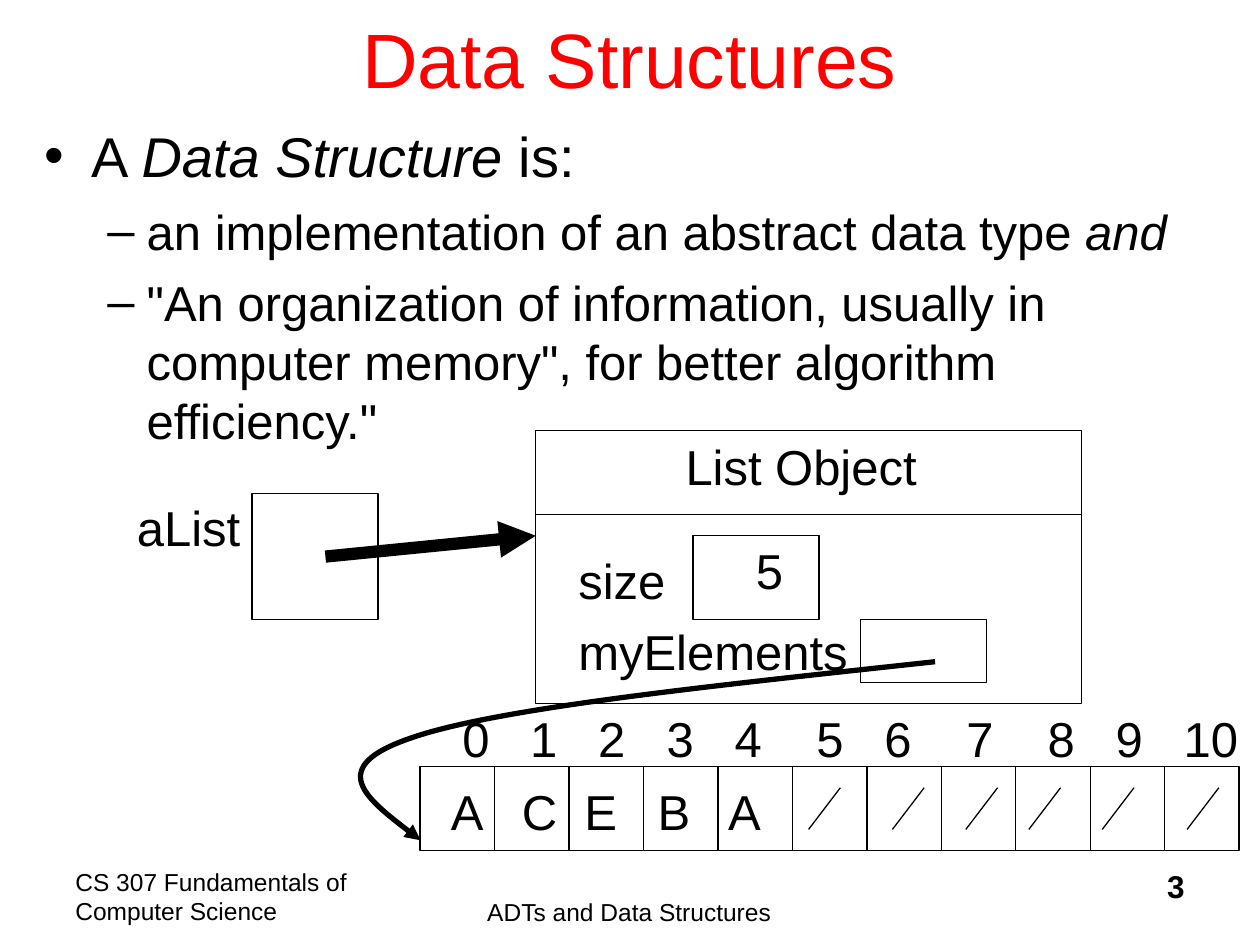
from pptx import Presentation
from pptx.dml.color import RGBColor
from pptx.enum.shapes import MSO_CONNECTOR, MSO_SHAPE
from pptx.enum.text import MSO_ANCHOR, MSO_AUTO_SIZE, PP_ALIGN
from pptx.oxml.ns import qn
from pptx.util import Cm, Pt
from lxml.etree import SubElement

BLACK, RED = "000000", "FF0000"
CELLS = 11
INDEX_TABS = [1.37, 2.74, 4.12, 5.49, 7.14, 8.51, 10.16, 11.8, 13.17, 14.54]
VALUE_TABS = [1.43, 2.69, 4.17, 5.59]
SLASH_LEFTS = [7.83, 9.52, 11, 12.27, 13.75, 15.46]
CURVE = [(18.85, 13.34), (14.43, 13.82), (10.01, 14.27), (8.28, 14.88),
         (6.55, 15.47), (7.52, 16.21), (8.48, 16.94)]


def color(hex_string):
    return RGBColor.from_string(hex_string)


def set_font(paragraph, size, hex_string=BLACK, bold=None):
    font = paragraph.font
    font.name, font.size, font.bold = "Arial", Pt(size), bold
    font.color.rgb = color(hex_string)


def set_line(shape, width):
    shape.line.color.rgb = color(BLACK)
    shape.line.width = Pt(width)


def add_arrowhead(shape):
    SubElement(shape.line._get_or_add_ln(), qn("a:tailEnd"), type="triangle")


def add_text(slide, box, lines, size=28, align=PP_ALIGN.LEFT, wrap=False,
             bold=None, tabs=()):
    shape = slide.shapes.add_textbox(*map(Cm, box))
    frame = shape.text_frame
    frame.word_wrap = wrap
    for number, line in enumerate(lines):
        paragraph = frame.add_paragraph() if number else frame.paragraphs[0]
        paragraph.text = line
        paragraph.alignment = align
        if number:
            paragraph.space_before = Pt(7)
        if tabs:
            tab_list = SubElement(paragraph._p.get_or_add_pPr(), qn("a:tabLst"))
            for position in tabs:
                SubElement(tab_list, qn("a:tab"), pos=str(Cm(position)), algn="l")
        set_font(paragraph, size, bold=bold)


def add_rectangle(slide, box):
    shape = slide.shapes.add_shape(MSO_SHAPE.RECTANGLE, *map(Cm, box))
    shape.shadow.inherit = False
    shape.fill.background()
    set_line(shape, 0.75)


def add_line(slide, start, end, width=0.75):
    line = slide.shapes.add_connector(MSO_CONNECTOR.STRAIGHT, *map(Cm, start + end))
    SubElement(line._element.spPr, qn("a:effectLst"))
    set_line(line, width)
    return line


def add_curve(slide, points):
    start, *others = [(Cm(x), Cm(y)) for x, y in points]
    builder = slide.shapes.build_freeform(*start)
    builder.add_line_segments(others, close=False)
    shape = builder.convert_to_shape()
    # Turn each three straight segments into one Bézier segment
    segments = list(shape._element.iter(qn("a:lnTo")))
    outline = segments[0].getparent()
    for first in range(0, len(segments), 3):
        bezier = SubElement(outline, qn("a:cubicBezTo"))
        for segment in segments[first:first + 3]:
            bezier.append(segment[0])
            outline.remove(segment)
    shape.shadow.inherit = False
    shape.fill.background()
    set_line(shape, 3)
    add_arrowhead(shape)


def place(placeholder, box):
    placeholder.left, placeholder.top, placeholder.width, placeholder.height = map(Cm, box)
    placeholder.text_frame.auto_size = MSO_AUTO_SIZE.NONE


def fill_title(title, box):
    place(title, box)
    title.text_frame.vertical_anchor = MSO_ANCHOR.MIDDLE
    title.text_frame.text = "Data Structures"
    paragraph = title.text_frame.paragraphs[0]
    paragraph.alignment = PP_ALIGN.CENTER
    set_font(paragraph, 44, RED)


def fill_body(body, box):
    place(body, box)
    # Each paragraph: level, size, runs of (text, italic)
    content = [
        (0, 32, [("A ", None), ("Data Structure ", True), ("is:", None)]),
        (1, 28, [("an implementation of an abstract data type ", None), ("and", True)]),
        (1, 28, [('"An organization of information, usually in computer memory", '
                  'for better algorithm efficiency."', None)]),
    ]
    frame = body.text_frame
    for number, (level, size, runs) in enumerate(content):
        paragraph = frame.add_paragraph() if number else frame.paragraphs[0]
        paragraph.level = level
        paragraph.space_before = Pt(7 if number else 0)
        set_font(paragraph, size)
        for text, italic in runs:
            run = paragraph.add_run()
            run.text, run.font.italic = text, italic


def draw_variable(slide, left, top, side):
    add_text(slide, (left - 2.57, top - 0.05, 2.59, 1.45), ["aList"])
    add_rectangle(slide, (left, top, side, side))


def draw_list_object(slide, left, top, width, height):
    add_rectangle(slide, (left, top, width, height))
    add_text(slide, (left + 2.77, top, 5.16, 1.45), ["List Object"])
    add_line(slide, (left, top + 1.69), (left + width, top + 1.69))
    # Fields and their value boxes
    add_text(slide, (left + 0.61, top + 2.29, 6.4, 2.87), ["size", "myElements"],
             wrap=True)
    add_rectangle(slide, (left + 3.17, top + 2.12, 2.54, 1.69))
    add_rectangle(slide, (left + 6.55, top + 3.81, 2.54, 1.27))
    add_text(slide, (left + 4.19, top + 2.09, 1.04, 1.45), ["5"])


def draw_array(slide, left, top, width, height):
    add_rectangle(slide, (left, top, width, height))
    for number in range(1, CELLS):
        x = left + number * width / CELLS
        add_line(slide, (x, top), (x, top + height))
    # Values, then a slash in each empty cell
    add_text(slide, (left + 0.37, top + 0.17, 7.2, 1.45),
             ["\t".join("ACEBA")], wrap=True, tabs=VALUE_TABS)
    for offset in SLASH_LEFTS:
        add_line(slide, (left + offset, top + 1.27), (left + offset + 0.64, top + 0.43))
    # Index row
    add_text(slide, (left + 0.6, top - 1.3, 16.3, 1.45),
             ["\t".join(map(str, range(CELLS)))], wrap=True, tabs=INDEX_TABS)


def draw_footer(slide, top):
    add_text(slide, (1.27, top, 6.35, 1.27), ["CS 307 Fundamentals of Computer Science"],
             14, wrap=True)
    add_text(slide, (7.82, top + 0.6, 9.73, 0.9), ["ADTs and Data Structures"],
             14, PP_ALIGN.CENTER, wrap=True)
    add_text(slide, (18.85, top, 5.28, 1.27), ["3"], 18, PP_ALIGN.RIGHT, True, True)


def main():
    presentation = Presentation()
    presentation.slide_width, presentation.slide_height = Cm(25.4), Cm(19.05)
    slide = presentation.slides.add_slide(presentation.slide_layouts[1])

    draw_footer(slide, 17.35)
    fill_title(slide.shapes.title, (1.9, -0.42, 21.59, 3.18))
    fill_body(slide.placeholders[1], (0.64, 2.33, 24.13, 15.24))
    draw_variable(slide, 5.08, 9.95, 2.54)
    draw_list_object(slide, 10.8, 8.68, 11, 5.5)
    draw_array(slide, 8.47, 15.45, 16.51, 1.7)

    # References: aList to the list object, myElements to the array
    add_arrowhead(add_line(slide, (6.56, 11.22), (10.8, 10.8), 7))
    add_curve(slide, CURVE)
    presentation.save("out.pptx")


if __name__ == "__main__":
    main()
